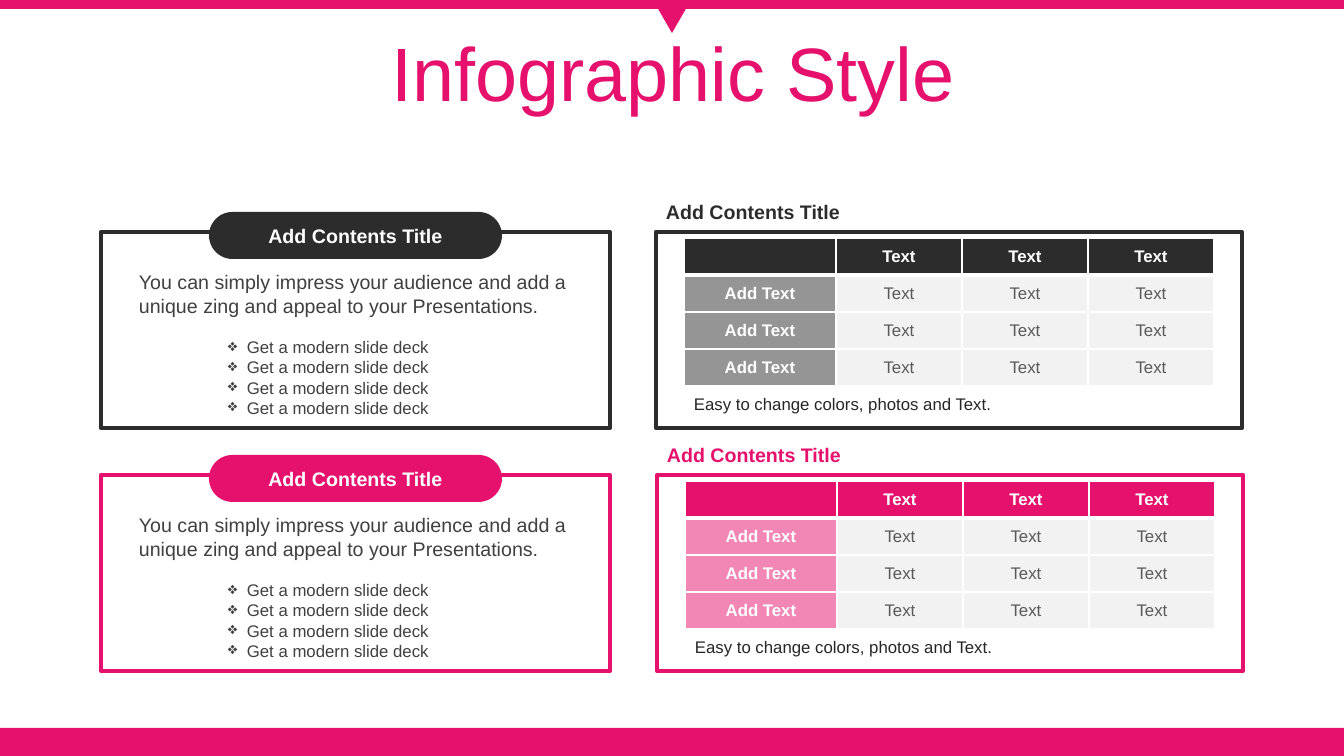
from lxml import etree
from pptx import Presentation
from pptx.dml.color import RGBColor
from pptx.enum.shapes import MSO_SHAPE
from pptx.enum.text import MSO_ANCHOR, PP_ALIGN
from pptx.oxml.ns import qn
from pptx.util import Pt

RECT, PILL, TRIANGLE = MSO_SHAPE.RECTANGLE, MSO_SHAPE.ROUNDED_RECTANGLE, MSO_SHAPE.ISOSCELES_TRIANGLE
LEFT, CENTER = PP_ALIGN.LEFT, PP_ALIGN.CENTER
TOP, MIDDLE = MSO_ANCHOR.TOP, MSO_ANCHOR.MIDDLE

COLORS = {"pink": "E6106D", "dark": "2C2C2C", "white": "FFFFFF", "cell": "F2F2F2",
          "body": "404040", "caption": "262626", "value": "595959"}
WIDTH, HEIGHT = 1344, 756
EMU_PER_PX = 914400 / 100.8

TITLE = {"size": 54, "color": "pink"}
HEADING = {"size": 14, "bold": True}
BODY = {"size": 14, "color": "body"}
BULLET = {"size": 12, "color": "body"}
CAPTION = {"size": 12, "color": "caption"}
LABEL_CELL = {"size": 12, "color": "white", "bold": True}
VALUE_CELL = {"size": 12, "color": "value"}

TABLE_ROWS = [["", "Text", "Text", "Text"]] + [["Add Text", "Text", "Text", "Text"]] * 3
COLUMN_WIDTHS = [152, 126, 126, 126]
ROW_HEIGHT = 37


def px(n):
    return round(n * EMU_PER_PX)


def rgb(name):
    return RGBColor.from_string(COLORS[name])


class Deck:
    font = "Arial"

    def __init__(self):
        self.prs = Presentation()
        self.prs.slide_width, self.prs.slide_height = px(WIDTH), px(HEIGHT)
        self.s = self.prs.slides.add_slide(self.prs.slide_layouts[6])

    def add_run(self, p, text, style, align=LEFT):
        p.alignment = align
        r = p.add_run()
        r.text = text
        values = {"name": self.font, "size": Pt(style["size"]), "bold": style.get("bold", False)}
        for key, value in values.items():
            setattr(r.font, key, value)
        r.font.color.rgb = rgb(style["color"])

    def shape(self, kind, x, y, w, h, fill, line=None):
        sp = self.s.shapes.add_shape(kind, px(x), px(y), px(w), px(h))
        sp.shadow.inherit = False
        sp.fill.solid()
        sp.fill.fore_color.rgb = rgb(fill)
        if line:
            sp.line.color.rgb = rgb(line)
            sp.line.width = Pt(3)
        else:
            sp.line.fill.background()
        return sp

    def pill(self, x, y, w, h, fill, text, style):
        sp = self.shape(PILL, x, y, w, h, fill)
        sp.adjustments[0] = 0.5
        sp.text_frame.vertical_anchor = MIDDLE
        self.add_run(sp.text_frame.paragraphs[0], text, style, CENTER)

    def text(self, x, y, w, h, lines, style, align=LEFT, anchor=TOP, spacing=None, bullet=None):
        tf = self.s.shapes.add_textbox(px(x), px(y), px(w), px(h)).text_frame
        tf.word_wrap = True
        tf.vertical_anchor = anchor
        for i, line in enumerate(lines):
            p = tf.add_paragraph() if i else tf.paragraphs[0]
            if bullet:
                pPr = p._p.get_or_add_pPr()
                pPr.set("marL", str(px(19)))
                pPr.set("indent", str(-px(19)))
                etree.SubElement(pPr, qn("a:buChar")).set("char", bullet)
            if spacing:
                p.line_spacing = spacing
            self.add_run(p, line, style, align)

    def borders(self, cell, widths):
        """Draw white cell edges; widths maps L, R, T and B to points."""
        tcPr = cell._tc.get_or_add_tcPr()
        for side, width in widths.items():
            ln = etree.SubElement(tcPr, qn("a:ln" + side), w=str(Pt(width)))
            fill = etree.SubElement(ln, qn("a:solidFill"))
            etree.SubElement(fill, qn("a:srgbClr"), val=COLORS["white"])

    def cell_fill(self, cell, color, alpha=None):
        cell.fill.solid()
        cell.fill.fore_color.rgb = rgb(color)
        if alpha:
            clr = cell._tc.tcPr.find(qn("a:solidFill")).find(qn("a:srgbClr"))
            etree.SubElement(clr, qn("a:alpha"), val=str(alpha * 1000))

    def table(self, x, y, rows, accent):
        frame = self.s.shapes.add_table(len(rows), len(COLUMN_WIDTHS), px(x), px(y),
                                        px(sum(COLUMN_WIDTHS)), px(ROW_HEIGHT * len(rows)))
        tbl = frame.table
        tbl.first_row = tbl.horz_banding = False
        for column, width in zip(tbl.columns, COLUMN_WIDTHS):
            column.width = px(width)
        for i, row in enumerate(rows):
            tbl.rows[i].height = px(ROW_HEIGHT)
            for j, text in enumerate(row):
                cell = tbl.cell(i, j)
                cell.vertical_anchor = MIDDLE
                cell.margin_top = cell.margin_bottom = 0
                self.borders(cell, {"L": 1, "R": 1, "T": 3 if i == 1 else 1, "B": 3 if i == 0 else 1})
                if i == 0:
                    self.cell_fill(cell, accent)
                elif j == 0:
                    self.cell_fill(cell, accent, alpha=50)
                else:
                    self.cell_fill(cell, "cell")
                if text:
                    style = VALUE_CELL if i and j else LABEL_CELL
                    self.add_run(cell.text_frame.paragraphs[0], text, style, CENTER)

    def text_panel(self, x, y, accent):
        self.shape(RECT, x, y, 509, 196, "white", accent)
        self.pill(x + 108, y - 20, 293, 47, accent, "Add Contents Title", {**HEADING, "color": "white"})
        self.text(x + 28, y + 33, 454, 58, ["You can simply impress your audience and add a "
                                            "unique zing and appeal to your Presentations."], BODY)
        self.text(x + 117, y + 100, 277, 92, ["Get a modern slide deck"] * 4, BULLET, bullet="❖")

    def table_panel(self, x, y, accent):
        self.shape(RECT, x, y, 586, 196, "white", accent)
        self.text(x, y - 37, 277, 34, ["Add Contents Title"], {**HEADING, "color": accent})
        self.table(x + 28, y + 6, TABLE_ROWS, accent)
        self.text(x + 28, y + 157, 426, 30, ["Easy to change colors, photos and Text."], CAPTION)


def main():
    deck = Deck()
    deck.shape(RECT, 0, 728, WIDTH, 28, "pink")
    deck.shape(RECT, 0, 0, WIDTH, 9, "pink")
    deck.shape(TRIANGLE, 653, 0, 38, 33, "pink").rotation = 180
    deck.text(35, 37, 1276, 80, ["Infographic Style"], TITLE, CENTER, MIDDLE, spacing=0.9)
    for row, accent in enumerate(["dark", "pink"]):
        y = 232 + 243 * row
        deck.text_panel(101, y, accent)
        deck.table_panel(656 + row, y, accent)
    deck.prs.save("out.pptx")


if __name__ == "__main__":
    main()
